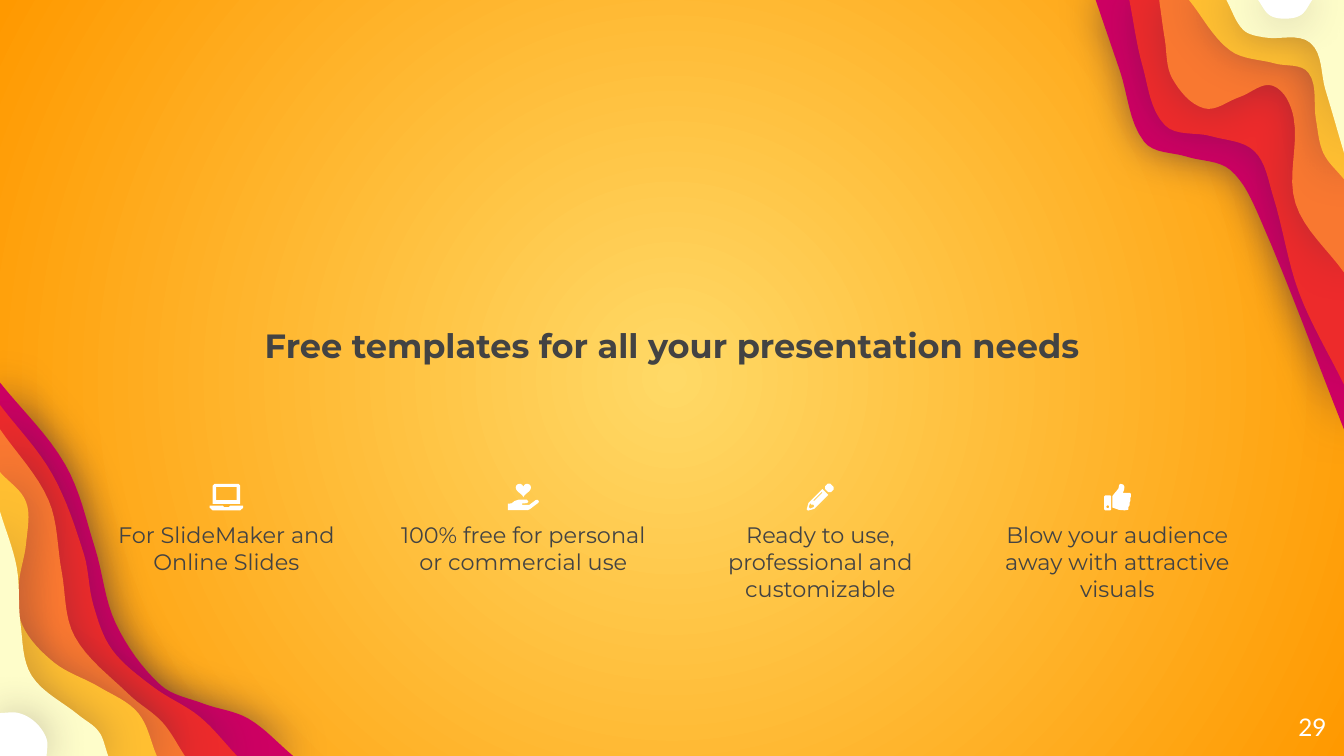
from itertools import pairwise
from math import cos, dist, pi, sin, sqrt
from typing import NamedTuple

from lxml.etree import SubElement
from pptx import Presentation
from pptx.dml.color import RGBColor
from pptx.enum.text import MSO_ANCHOR, PP_ALIGN
from pptx.oxml.ns import qn
from pptx.util import Pt

DARK_GREY = RGBColor(0x43, 0x43, 0x43)
WHITE = RGBColor(0xFF, 0xFF, 0xFF)
GLOW = RGBColor(0xFF, 0xD9, 0x66)
AMBER = RGBColor(0xFF, 0x99, 0x00)
MAGENTA = RGBColor(0xCE, 0x00, 0x63)
RED = RGBColor(0xED, 0x2B, 0x2B)
ORANGE = RGBColor(0xF9, 0x78, 0x30)
YELLOW = RGBColor(0xFF, 0xBF, 0x31)
CREAM = RGBColor(0xFE, 0xFD, 0xCA)
SHADE = RGBColor(0x39, 0x27, 0x3F)

SLIDE_WIDTH, SLIDE_HEIGHT = 720, 405
COLUMN_LEFT, COLUMN_PITCH, COLUMN_WIDTH = 54.7, 159.1, 133.2
ICON_TOP, CAPTION_TOP = 259.2, 279.4
CURVE_STEPS = 8


class Wave(NamedTuple):
    """A colour layer: knots of its edge in the top right and bottom left corner."""
    colour: RGBColor
    upper: list
    lower: list
    shadow_opacity: int = 30


WAVES = [
    Wave(MAGENTA,
         [(587, 0), (600, 38), (613, 76), (636, 84), (659, 91), (675, 117), (720, 230)],
         [(0, 205), (35, 249), (51, 294), (62, 334), (86, 367), (109, 377), (133, 385),
          (157, 405)], shadow_opacity=60),
    Wave(RED,
         [(605, 0), (612, 35), (624, 67), (649, 73), (672, 81), (682, 105), (696, 157),
          (720, 206)],
         [(0, 217), (28, 254), (45, 297), (50, 324), (60, 348), (82, 368), (107, 384),
          (127, 405)]),
    Wave(ORANGE,
         [(621, 0), (624, 21), (628, 42), (645, 58), (664, 52), (682, 46), (693, 63),
          (694, 109), (720, 146)],
         [(0, 230), (26, 268), (33, 306), (40, 341), (69, 372), (87, 387), (99, 405)]),
    Wave(YELLOW,
         [(637, 0), (659, 27), (683, 34), (701, 39), (705, 64), (709, 82), (720, 96)],
         [(0, 253), (14, 269), (14, 291), (10, 314), (12, 335), (29, 355), (53, 368),
          (74, 382), (84, 405)]),
    Wave(CREAM,
         [(657, 0), (666, 16), (677, 20), (702, 23), (710, 48), (720, 82)],
         [(0, 274), (9, 304), (11, 334), (17, 362), (42, 383), (53, 392), (58, 405)]),
    Wave(WHITE,
         [(674, 0), (680, 8), (688, 10), (697, 8), (703, 0)],
         [(0, 382), (10, 382), (19, 387), (25, 396), (25, 405)]),
]


def smooth(knots):
    """Curve through the knots; at each it runs parallel to its neighbours' chord."""
    neighbours = zip(knots[:1] + knots[:-1], knots[1:] + knots[-1:])
    headings = [((bx - ax) / dist((ax, ay), (bx, by)), (by - ay) / dist((ax, ay), (bx, by)))
                for (ax, ay), (bx, by) in neighbours]
    curve = [knots[0]]
    for (start, leaving), (end, arriving) in pairwise(zip(knots, headings)):
        reach = dist(start, end) / 3
        for step in range(1, CURVE_STEPS + 1):
            t = step / CURVE_STEPS
            s = 1 - t
            curve.append(tuple(
                s**3 * a + 3 * s * s * t * (a + reach * u)
                + 3 * s * t * t * (b - reach * v) + t**3 * b
                for a, u, b, v in zip(start, leaving, end, arriving)))
    return curve


# Each icon is a list of contours, measured from the icon's top centre.
def cut_box(left, top, right, bottom, cut=0.0):
    """Rectangle with its corners cut off."""
    return [(left + cut, top), (right - cut, top), (right, top + cut), (right, bottom - cut),
            (right - cut, bottom), (left + cut, bottom), (left, bottom - cut),
            (left, top + cut)]


def mirrored(right_half):
    return right_half + [(-x, y) for x, y in reversed(right_half)]


def laptop():
    screen = cut_box(-5.5, 1.7, 5.5, 8.7)
    lid = mirrored([(6.4, 0), (7.4, 1), (7.4, 10.7)])
    base = mirrored([(1.2, 12.5), (2, 11.7), (9, 11.7), (9, 12.8), (7.4, 14.2)])
    return [screen, lid, base]


def heart_in_hand():
    angles = [2 * pi * step / 32 for step in range(32)]
    heart = [(4.1 * sin(a) ** 3,
              (12 - 13 * cos(a) + 5 * cos(2 * a) + 2 * cos(3 * a) + cos(4 * a)) / 4)
             for a in angles]
    sleeve = [(-6.3, 10.5), (-8.3, 10.7), (-8.3, 14.1)]
    palm = [(2.4, 14.1), (3.5, 13.6)]
    fingers = [(8, 10.2), (8.3, 9.4), (7.8, 8.7), (6.8, 8.6), (3.2, 11.3)]
    thumb = [(-0.7, 11.3), (-0.7, 10.5), (2, 10.4), (2.7, 9.6), (1.9, 8.5), (-2.5, 8.5),
             (-4.7, 9.2)]
    return [heart, sleeve + palm + fingers + thumb]


def pencil():
    """Drawn lying flat with the tip at the origin, then turned by 45 degrees."""
    eraser = cut_box(15, -2.2, 18.9, 2.2, 0.9)
    body = [(0.3, -0.5), (3.3, -2.2), (13.9, -2.2), (13.9, 2.2), (3.3, 2.2), (0.3, 0.5)]
    groove = cut_box(6.2, -1.4, 12.6, -0.8)
    bare_wood = [(1.9, -0.6), (3.9, -1.5), (3.8, -0.5), (4.7, 0.5), (3.9, 1.4), (1.9, 0.6)]
    return [[(-7.2 + (along + across) / sqrt(2), 14.2 + (across - along) / sqrt(2))
             for along, across in part] for part in (eraser, body, groove, bare_wood)]


def thumb_up():
    cuff = cut_box(-7, 6.2, -3.3, 14.2, 0.5)
    button = cut_box(-5.8, 11.6, -4.4, 13, 0.4)
    thumb = [(-2.6, 6.5), (-0.4, 3.8), (0.6, 2.6), (1, 0.6), (1.7, 0), (3.2, 0.4),
             (3.8, 1.5), (3.7, 3), (3, 4.8)]
    fingertips = [(tip, 5.3 + 2.35 * finger + side)
                  for finger, tip in enumerate((7.3, 7, 6.6, 6)) for side in (0, 1.5)]
    heel = [(4, 14.2), (1, 14), (-2.6, 12.7)]
    return [cuff, button, thumb + [(6.5, 4.8)] + fingertips + heel]


FEATURES = [
    (laptop, "For SlideMaker and Online Slides"),
    (heart_in_hand, "100% free for personal or commercial use"),
    (pencil, "Ready to use, professional and customizable"),
    (thumb_up, "Blow your audience away with attractive visuals"),
]


def paint_background(slide):
    fill = slide.background.fill
    fill.gradient()
    for stop, colour in zip(fill.gradient_stops, (GLOW, AMBER)):
        stop.color.rgb = colour
    gradient = slide.element.find(".//" + qn("a:gradFill"))
    gradient.remove(gradient.find(qn("a:lin")))
    circle = SubElement(gradient, qn("a:path"), path="circle")
    SubElement(circle, qn("a:fillToRect"), dict.fromkeys("ltrb", "50000"))


def add_outline(slide, contours, colour, left=0.0, top=0.0):
    builder = None
    for contour in contours:
        first, *rest = [(Pt(left + x), Pt(top + y)) for x, y in contour]
        if builder is None:
            builder = slide.shapes.build_freeform(*first)
        else:
            builder.move_to(*first)
        builder.add_line_segments(rest, close=True)
    outline = builder.convert_to_shape()
    outline.fill.solid()
    outline.fill.fore_color.rgb = colour
    outline.line.fill.background()
    outline.shadow.inherit = False
    return outline


def add_wave(slide, knots, corner, colour, shadow_opacity):
    """Fill the area between a smooth edge and a corner of the slide."""
    layer = add_outline(slide, [smooth(knots) + [corner]], colour)
    effects = layer.element.spPr.find(qn("a:effectLst"))
    shadow = SubElement(effects, qn("a:outerShdw"), blurRad=str(Pt(22.5)),
                        dist=str(Pt(0.8)), dir="0", algn="ctr", rotWithShape="0")
    shade = SubElement(shadow, qn("a:srgbClr"), val=str(SHADE))
    SubElement(shade, qn("a:alpha"), val=str(shadow_opacity * 1000))


def add_label(slide, text, box, size, colour=DARK_GREY, font="Montserrat",
              bold=False, align=PP_ALIGN.CENTER, anchor=MSO_ANCHOR.TOP):
    frame = slide.shapes.add_textbox(*map(Pt, box)).text_frame
    frame.word_wrap = True
    frame.margin_left = frame.margin_right = frame.margin_top = frame.margin_bottom = 0
    frame.vertical_anchor = anchor
    frame.text = text
    paragraph = frame.paragraphs[0]
    paragraph.alignment = align
    run_font = paragraph.runs[0].font
    run_font.name, run_font.size, run_font.bold = font, Pt(size), bold
    run_font.color.rgb = colour


def main():
    deck = Presentation()
    deck.slide_width, deck.slide_height = Pt(SLIDE_WIDTH), Pt(SLIDE_HEIGHT)
    slide = deck.slides.add_slide(deck.slide_layouts[6])
    paint_background(slide)
    for colour, upper, lower, opacity in WAVES:
        add_wave(slide, upper, (upper[-1][0], 0), colour, opacity)
        add_wave(slide, lower, (0, SLIDE_HEIGHT), colour, opacity)
    add_label(slide, "Free templates for all your presentation needs",
              (87.1, 174.2, 545.8, 20.9), 18, bold=True)
    for column, (icon, caption) in enumerate(FEATURES):
        left = COLUMN_LEFT + column * COLUMN_PITCH
        add_label(slide, caption, (left, CAPTION_TOP, COLUMN_WIDTH, 50.4), 12)
        add_outline(slide, icon(), WHITE, left + COLUMN_WIDTH / 2, ICON_TOP)
    add_label(slide, "29", (667.4, 373.7, 43.2, 31), 13, WHITE, "Lato",
              align=PP_ALIGN.RIGHT, anchor=MSO_ANCHOR.MIDDLE)
    deck.save("out.pptx")


if __name__ == "__main__":
    main()
